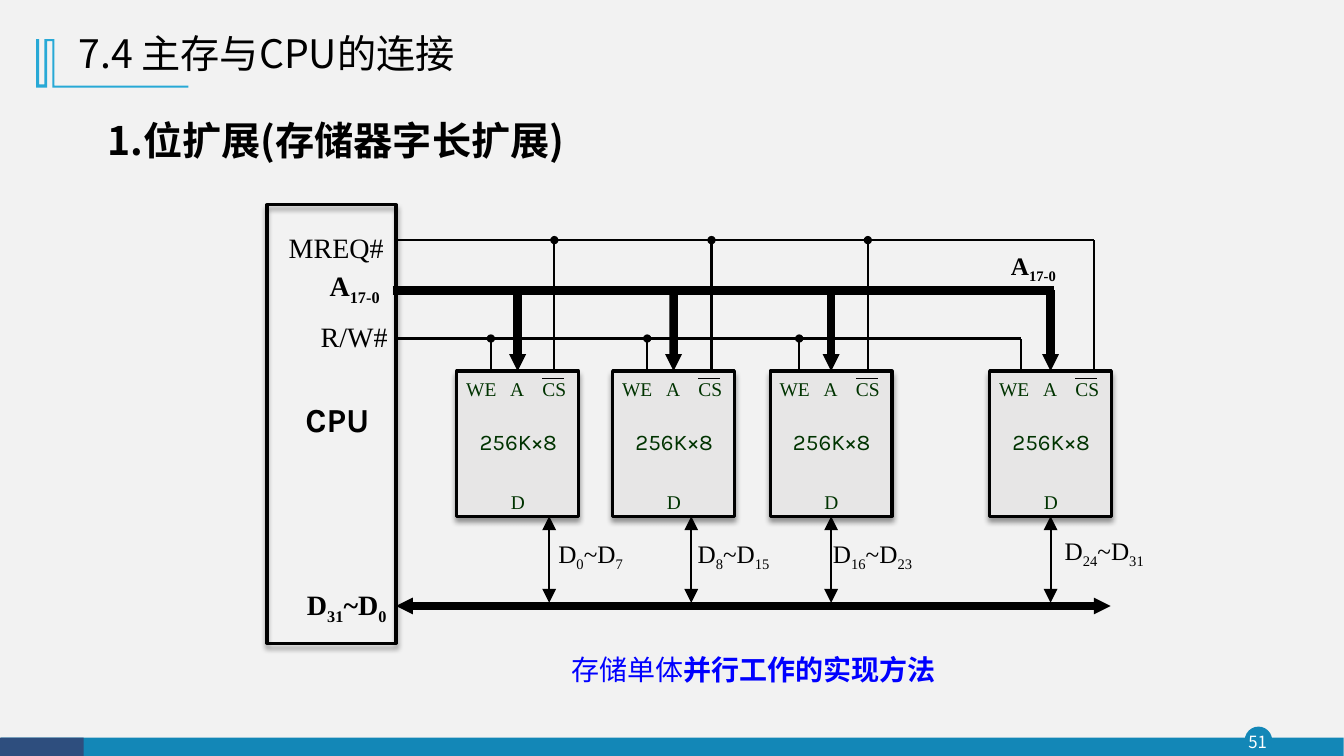
import pptx
import pptx.util
import pptx.dml.color
import pptx.enum.shapes
import pptx.enum.text
import pptx.oxml
from lxml import etree

Cm = pptx.util.Cm
Pt = pptx.util.Pt
RGB = pptx.dml.color.RGBColor.from_string
SHAPE = pptx.enum.shapes.MSO_SHAPE
ALIGN = pptx.enum.text.PP_ALIGN
ANCHOR = pptx.enum.text.MSO_ANCHOR
qn = pptx.oxml.ns.qn

COLORS = {"bg": "F2F2F2", "teal": "1387B7", "navy": "2E4E7E", "sky": "28A9D6",
          "black": "000000", "white": "FFFFFF", "chip": "E7E6E6",
          "green": "003300", "blue": "0000FF"}
SERIF = "Times New Roman"
CJK = "Noto Sans CJK SC"

prs = pptx.Presentation()
prs.slide_width, prs.slide_height = Cm(33.87), Cm(19.05)
s = prs.slides.add_slide(prs.slide_layouts[6])
s.background.fill.solid()
s.background.fill.fore_color.rgb = RGB(COLORS["bg"])


def add_text(x, y, w, h, runs, size, font=SERIF, color="black", align=ALIGN.LEFT,
             bold=(False, False), base=(0, -25), inset=(0.25, 0.13),
             anchor=ANCHOR.TOP, wrap=True, spacing=None):
    tf = s.shapes.add_textbox(Cm(x), Cm(y), Cm(w), Cm(h)).text_frame
    tf.word_wrap = wrap
    tf.vertical_anchor = anchor
    tf.margin_left = tf.margin_right = Cm(inset[0])
    tf.margin_top = tf.margin_bottom = Cm(inset[1])
    p = tf.paragraphs[0]
    p.alignment = align
    p.line_spacing = spacing
    for i, words in enumerate(runs):
        r = p.add_run()
        r.text = words
        r.font.size = Pt(size)
        r.font.name = font
        r.font.bold = bold[i % 2]
        r.font.color.rgb = RGB(COLORS[color])
        rPr = r.font._element
        ea = etree.SubElement(rPr, qn("a:ea"))
        ea.set("typeface", font if font.startswith("Noto") else CJK)
        if base[i % 2]:
            rPr.set("baseline", str(base[i % 2] * 1000))


def add_line(x1, y1, x2, y2, width=1.5, head=None, tail=None, size="med"):
    c = s.shapes.add_connector(pptx.enum.shapes.MSO_CONNECTOR.STRAIGHT,
                               Cm(x1), Cm(y1), Cm(x2), Cm(y2))
    c.line.width = Pt(width)
    c.line.color.rgb = RGB(COLORS["black"])
    ln = c.line._get_or_add_ln()
    for tag, kind in (("a:headEnd", head), ("a:tailEnd", tail)):
        if kind:
            etree.SubElement(ln, qn(tag), type=kind, w=size, len=size)
    etree.SubElement(c._element.spPr, qn("a:effectLst"))
    return c


for kind, x, y, w, h, color in (
        (SHAPE.OVAL, 31.37, 18.31, 0.69, 0.69, "teal"),
        (SHAPE.RECTANGLE, 0.03, 18.59, 33.83, 0.48, "teal"),
        (SHAPE.RECTANGLE, 0, 18.59, 2.11, 0.48, "navy")):
    sp = s.shapes.add_shape(kind, Cm(x), Cm(y), Cm(w), Cm(h))
    sp.shadow.inherit = False
    sp.fill.solid()
    sp.fill.fore_color.rgb = RGB(COLORS[color])
    sp.line.fill.background()
add_text(31.29, 18.31, 0.81, 0.79, ["51"], 12, CJK, "white", ALIGN.CENTER,
         inset=(0, 0), anchor=ANCHOR.MIDDLE)

mark = [(1.37, 0.99), (1.37, 2.16), (4.75, 2.16), (4.75, 2.21), (1.32, 2.21),
        (1.32, 1.04), (1.19, 1.04), (1.19, 2.21), (0.91, 2.21), (0.91, 0.99),
        (0.99, 0.99), (0.99, 2.13), (1.12, 2.13), (1.12, 0.99)]
points = [(Cm(x), Cm(y)) for x, y in mark]
fb = s.shapes.build_freeform(*points[0])
fb.add_line_segments(points[1:])
sp = fb.convert_to_shape()
sp.shadow.inherit = False
sp.fill.solid()
sp.fill.fore_color.rgb = RGB(COLORS["sky"])
sp.line.fill.background()

add_text(1.73, 0.53, 12.14, 1.73, ["7.4 主存与CPU的连接"], 28, CJK,
         anchor=ANCHOR.MIDDLE, spacing=0.9)
add_text(2.46, 2.74, 14.25, 1.73, ["1.位扩展(存储器字长扩展)"], 28,
         "Noto Sans CJK JP", bold=(True, True), anchor=ANCHOR.MIDDLE, spacing=0.9)

CHIP_Y, CHIP_W, CHIP_H = 9.35, 3.07, 3.66
MREQ_Y, ADDR_Y, RW_Y, DATA_Y = 6.05, 7.32, 8.53, 15.27
CPU_RIGHT = 9.98
chips = [
    (11.51, 12.37, 13.97, 13.84, 14.04, 13.54, ["D", "0", "~D", "7"]),
    (15.44, 16.31, 17.93, 17.42, 17.55, 13.54, ["D", "8", "~D", "15"]),
    (19.41, 20.14, 21.87, 20.9, 20.96, 13.54, ["D", "16", "~D", "23"]),
    (24.94, 25.73, 27.56, 26.49, 26.8, 13.46, ["D", "24", "~D", "31"]),
]

boxes = []
for x, y, w, h in [(6.73, 5.16, 3.25, 11.05)] + [
        (chip[0], CHIP_Y, CHIP_W, CHIP_H) for chip in chips]:
    sp = s.shapes.add_shape(SHAPE.RECTANGLE, Cm(x), Cm(y), Cm(w), Cm(h))
    sp.fill.background()
    sp.line.width = Pt(2.25)
    sp.line.color.rgb = RGB(COLORS["black"])
    sp.shadow.inherit = False
    shadow = etree.SubElement(sp._element.spPr.find(qn("a:effectLst")),
                              qn("a:outerShdw"), blurRad=str(Pt(4)),
                              dist=str(Pt(3)), dir="5400000", algn="t", rotWithShape="0")
    black = etree.SubElement(shadow, qn("a:srgbClr"), val=COLORS["black"])
    etree.SubElement(black, qn("a:alpha"), val="40000")
    boxes.append(sp)

for x, y, runs, size, font, bold in (
        (6.76, 6.73, ["A", "17-0"], 20, SERIF, True),
        (6.86, 5.77, ["MREQ#"], 20, SERIF, False),
        (6.96, 8.03, ["R/W#"], 20, SERIF, False),
        (6.5, 10.03, ["CPU"], 24, "Karla", True),
        (6.93, 14.78, ["D", "31", "~D", "0"], 20, SERIF, True)):
    add_text(x, y, 2.84, 1.42, runs, size, font, align=ALIGN.RIGHT,
             bold=(bold, bold), inset=(0.03, 0.03))

add_line(CPU_RIGHT, MREQ_Y, chips[-1][2], MREQ_Y)
add_line(9.9, ADDR_Y, 26.56, ADDR_Y, 6)
add_line(CPU_RIGHT, RW_Y, chips[-1][1], RW_Y)
add_line(CPU_RIGHT, DATA_Y, 27.99, DATA_Y, 6, "triangle", "triangle", "sm")
add_text(24.13, 6.27, 2.51, 1.24, ["A", "17-0"], 18, align=ALIGN.RIGHT,
         bold=(True, True), inset=(0.03, 0.03))

for chip, sp in zip(chips, boxes[1:]):
    x, we_x, cs_x, data_x, label_x, label_y, label = chip
    center = x + CHIP_W / 2
    sp.fill.solid()
    sp.fill.fore_color.rgb = RGB(COLORS["chip"])
    dot = None if chip is chips[-1] else "oval"
    add_line(we_x, CHIP_Y, we_x, RW_Y, tail=dot)
    add_line(cs_x, CHIP_Y, cs_x, MREQ_Y, tail=dot)
    address = add_line(center, ADDR_Y, center, CHIP_Y, 6, tail="triangle", size="sm")
    address.end_connect(sp, 0)
    data = add_line(data_x, CHIP_Y + CHIP_H, data_x, 15.19, 1.5,
                    "triangle", "triangle", "lg")
    if abs(data_x - center) < 0.1:
        data.begin_connect(sp, 2)
        data.end_x = data.begin_x
    add_text(label_x, label_y, 2.6, 1.24, label, 18, inset=(0.03, 0.03))
    for pin, dx, dy, w in (("WE", -0.08, -0.08, 1.4), ("A", 1.07, -0.08, 0.91),
                           ("CS", 1.85, -0.08, 1.22), ("D", 1.09, 2.77, 0.91)):
        add_text(x + dx, CHIP_Y + dy, w, 1.27, [pin], 24, color="green",
                 align=ALIGN.CENTER, base=(30, 30), wrap=False)
    add_text(x - 0.05, CHIP_Y + 1.3, 3.2, 0.94, ["256K×8"], 16, "Karla", "green",
             ALIGN.CENTER)
    add_line(x + 2.16, CHIP_Y + 0.18, x + 2.71, CHIP_Y + 0.18, 1)

add_text(14.15, 16.31, 9.78, 1.12, ["存储单体", "并行工作的实现方法"], 20, "Arial",
         "blue", bold=(False, True), base=(0, 0), wrap=False)

prs.save("out.pptx")
